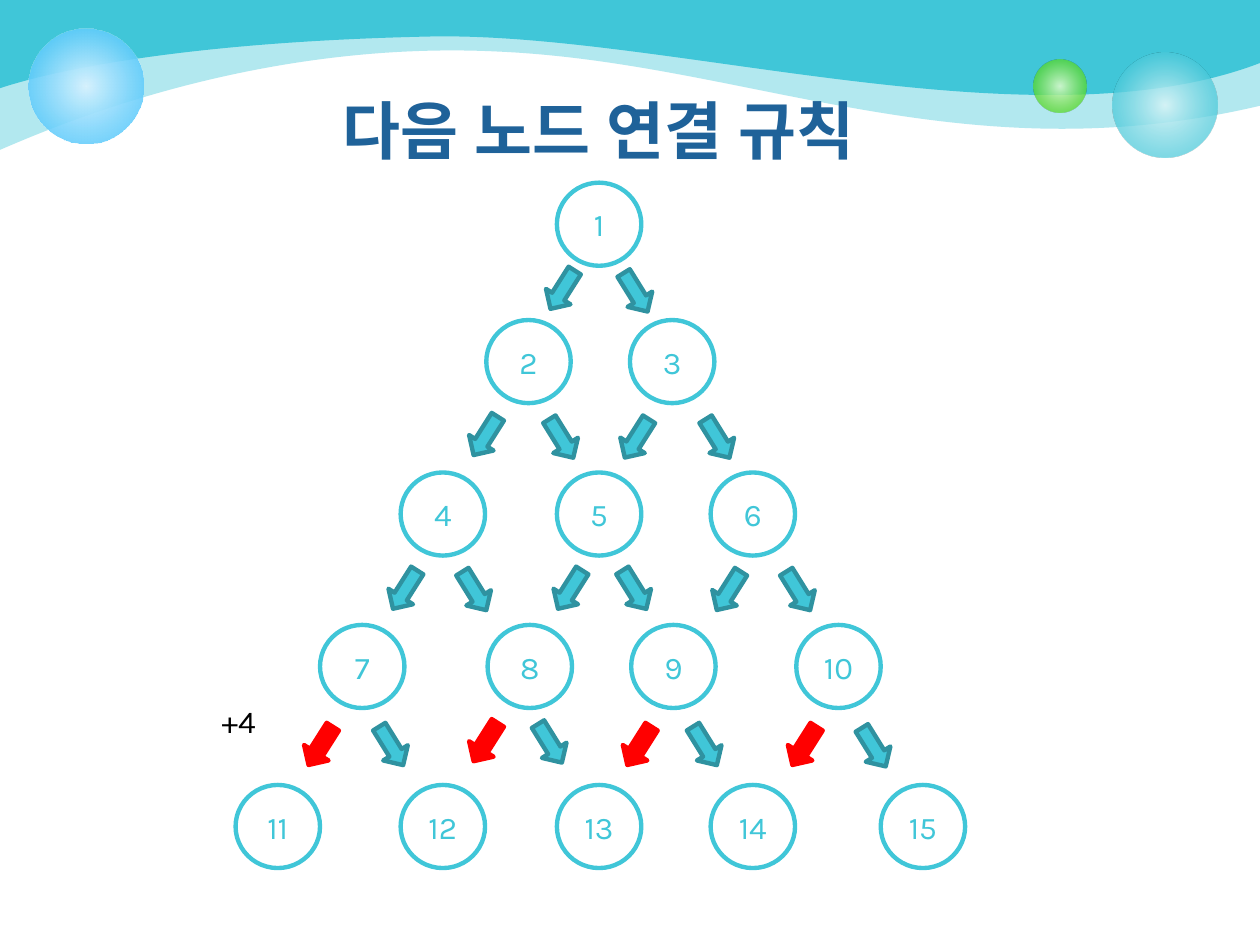
from lxml import etree
from pptx import Presentation
from pptx.dml.color import RGBColor
from pptx.enum.shapes import MSO_SHAPE as SHAPE
from pptx.enum.text import MSO_ANCHOR as ANCHOR, PP_ALIGN as ALIGN
from pptx.oxml.ns import qn
from pptx.util import Inches, Pt

TEAL, DARK_TEAL, RED, WHITE = "40C6D8", "2F92A0", "FF0000", "FFFFFF"


def paint(fill, color):
    fill.solid()
    fill.fore_color.rgb = RGBColor.from_string(color)


def write(frame, text, size=18, color=TEAL, bold=False, align=ALIGN.CENTER, anchor=ANCHOR.TOP):
    frame.word_wrap = True
    frame.vertical_anchor = anchor
    paragraph = frame.paragraphs[0]
    paragraph.alignment = align
    run = paragraph.add_run()
    run.text = text
    run.font.name = "Karla"
    run.font.size = Pt(size)
    run.font.bold = bold
    paint(run.font.fill, color)
    for script in ("a:ea", "a:cs"):
        etree.SubElement(run.font._element, qn(script), typeface="Karla")


prs = Presentation()
prs.slide_width, prs.slide_height = Inches(10), Inches(7.5)
slide = prs.slides.add_slide(prs.slide_layouts[6])
shapes = slide.shapes
paint(slide.background.fill, WHITE)

waves = [
    (40, [(0, 1.19), (0.33, 1.05), (1.97, 0.31), (3.96, 0.41),
          (5.95, 0.5), (7.62, 1.4), (10, 0.84)]),
    (100, [(0, 0.7), (0.45, 0.55), (1.53, 0.33), (3.41, 0.29),
           (5.29, 0.25), (8.2, 1.19), (10, 0.5)]),
]
for opacity, edge in waves:
    builder = shapes.build_freeform(0, 0, scale=Inches(0.01))
    builder.add_line_segments([(round(x * 100), round(y * 100)) for x, y in edge + [(10, 0)]])
    wave = builder.convert_to_shape()
    wave.shadow.inherit = False
    paint(wave.fill, TEAL)
    wave.line.fill.background()
    tint = wave.element.spPr.find(qn("a:solidFill")).find(qn("a:srgbClr"))
    etree.SubElement(tint, qn("a:alpha"), val=str(opacity * 1000))
    segments = list(wave.element.spPr.iter(qn("a:lnTo")))
    for first in (1, 4):
        curve = etree.Element(qn("a:cubicBezTo"))
        segments[first].addprevious(curve)
        for segment in segments[first:first + 3]:
            curve.append(segment[0])
            segment.getparent().remove(segment)

bubbles = [
    (8.83, 0.42, 0.83, [(0, "D9F4F7", 90), (76, TEAL, 70)]),
    (8.2, 0.47, 0.42, [(0, "DAFACD", 90), (76, "4CD416", 70)]),
    (0.23, 0.23, 0.91, [(0, "D6F2FE", 100), (100, "33BDFB", 80)]),
]
for x, y, size, stops in bubbles:
    bubble = shapes.add_shape(SHAPE.OVAL, Inches(x), Inches(y), Inches(size), Inches(size))
    bubble.shadow.inherit = False
    bubble.line.fill.background()
    glow = etree.Element(qn("a:gradFill"), rotWithShape="1")
    stop_list = etree.SubElement(glow, qn("a:gsLst"))
    for position, color, opacity in stops:
        stop = etree.SubElement(stop_list, qn("a:gs"), pos=str(position * 1000))
        tint = etree.SubElement(stop, qn("a:srgbClr"), val=color)
        etree.SubElement(tint, qn("a:alpha"), val=str(opacity * 1000))
    radial = etree.SubElement(glow, qn("a:path"), path="circle")
    etree.SubElement(radial, qn("a:fillToRect"), l="50000", t="50000", r="50000", b="50000")
    bubble.element.spPr.find(qn("a:prstGeom")).addnext(glow)

levels = [
    (1.45, [4.42]),
    (2.54, [3.86, 5]),
    (3.75, [3.18, 4.42, 5.64]),
    (4.96, [2.54, 3.87, 5.01, 6.32]),
    (6.23, [1.87, 3.18, 4.42, 5.64, 6.99]),
]
number = 0
for y, columns in levels:
    for x in columns:
        number += 1
        node = shapes.add_shape(SHAPE.OVAL, Inches(x), Inches(y), Inches(0.67), Inches(0.66))
        node.shadow.inherit = False
        paint(node.fill, WHITE)
        paint(node.line.fill, TEAL)
        node.line.width = Pt(2.5)
        frame = node.text_frame
        frame.margin_left = frame.margin_right = 0
        write(frame, str(number), anchor=ANCHOR.MIDDLE)

left_links = [(4.35, 2.12), (3.74, 3.28), (4.94, 3.3), (3.1, 4.5), (4.41, 4.5), (5.67, 4.51)]
plus_four_links = [(2.43, 5.74), (3.74, 5.71), (4.96, 5.74), (6.27, 5.74)]
right_links = [(4.93, 2.14), (4.34, 3.3), (5.58, 3.3), (3.65, 4.51), (4.92, 4.5), (6.22, 4.51),
               (2.99, 5.74), (4.25, 5.72), (5.48, 5.74), (6.82, 5.75)]
for links, angle, color, outline in [(left_links, 32.3, TEAL, DARK_TEAL),
                                     (plus_four_links, 32.3, RED, RED),
                                     (right_links, 328.2, TEAL, DARK_TEAL)]:
    for x, y in links:
        link = shapes.add_shape(SHAPE.DOWN_ARROW, Inches(x), Inches(y), Inches(0.23), Inches(0.36))
        link.rotation = angle
        link.shadow.inherit = False
        paint(link.fill, color)
        paint(link.line.fill, outline)
        link.line.width = Pt(2.5)

step_label = shapes.add_textbox(Inches(1.66), Inches(5.52), Inches(0.69), Inches(0.4))
write(step_label.text_frame, "+4", color="000000", align=ALIGN.LEFT)
title = shapes.add_textbox(Inches(0.25), Inches(0.68), Inches(9), Inches(1.25))
write(title.text_frame, "다음 노드 연결 규칙", size=36, color="1F6299", bold=True)

prs.save("out.pptx")
